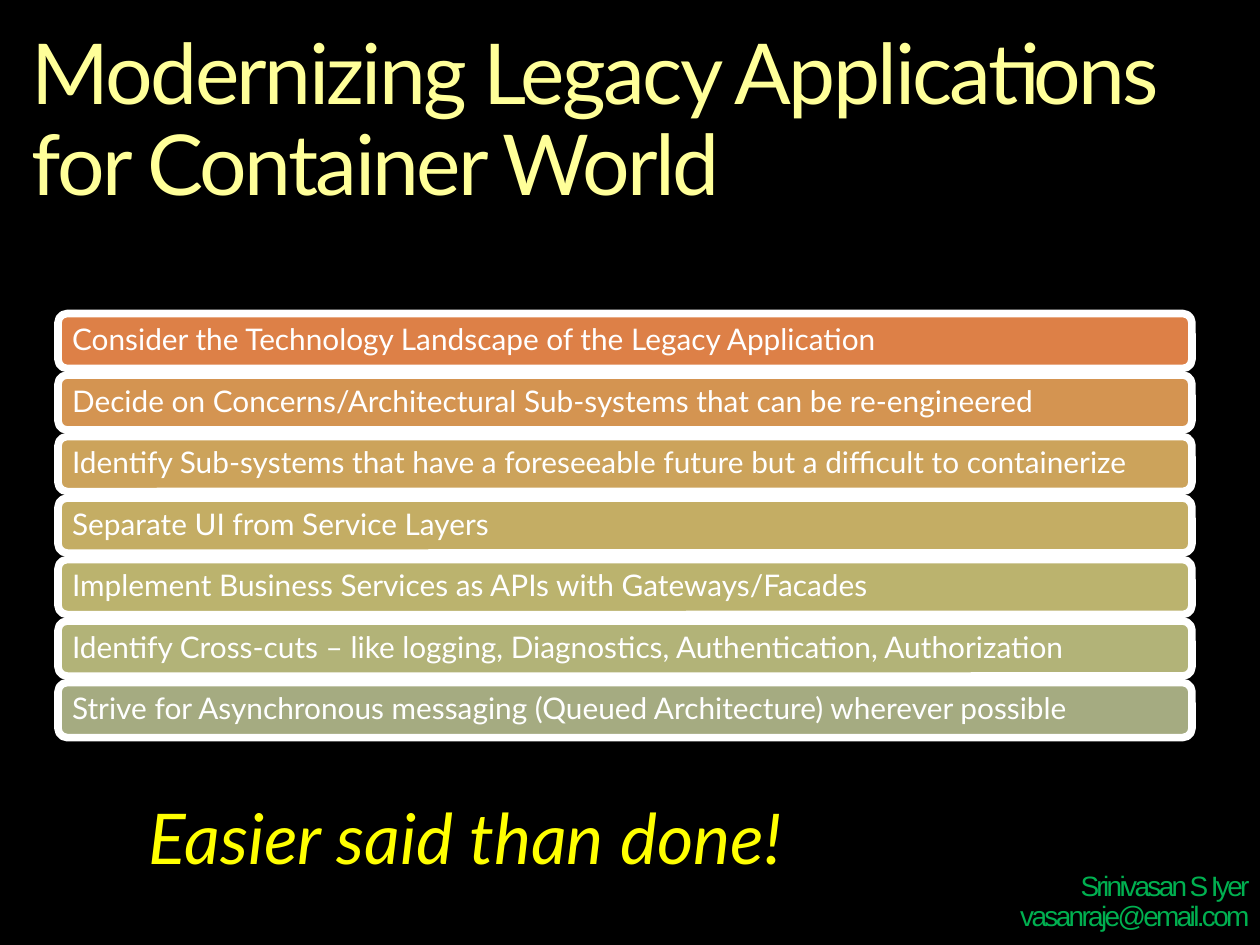
from dataclasses import dataclass

import pptx
import pptx.dml.color
import pptx.enum.shapes
import pptx.enum.text
import pptx.util
from pptx.util import Cm

ALIGN = pptx.enum.text.PP_ALIGN
ANCHOR = pptx.enum.text.MSO_ANCHOR


@dataclass(frozen=True)
class Theme:
    background: str = "000000"
    title: str = "FFFF99"
    white: str = "FFFFFF"
    remark: str = "FFFF00"
    author: str = "00B050"
    font: str = "Lato"
    author_font: str = "Arial"
    title_size: int = 48
    remark_size: int = 40
    step_size: int = 17
    author_size: int = 16


theme = Theme()


def rgb(value):
    return pptx.dml.color.RGBColor.from_string(value)


def write(sp, text, size, color, font=theme.font, inset=(0, 0), spacing=None,
          align=ALIGN.LEFT, anchor=ANCHOR.TOP, line_spacing=0.9, italic=None):
    """Fill a shape with text; inset is (horizontal, vertical) in cm, spacing in points."""
    tf = sp.text_frame
    tf.text = text
    tf.word_wrap = True
    tf.vertical_anchor = anchor
    tf.margin_left = tf.margin_right = Cm(inset[0])
    tf.margin_top = tf.margin_bottom = Cm(inset[1])
    for p in tf.paragraphs:
        p.alignment = align
        p.line_spacing = line_spacing
        for r in p.runs:
            r.font.name = font
            r.font.size = pptx.util.Pt(size)
            r.font.italic = italic
            r.font.color.rgb = rgb(color)
            if spacing is not None:
                r.font._element.set("spc", str(int(spacing * 100)))


prs = pptx.Presentation()
prs.slide_width, prs.slide_height = Cm(25.4), Cm(19.05)
s = prs.slides.add_slide(prs.slide_layouts[6])
s.background.fill.solid()
s.background.fill.fore_color.rgb = rgb(theme.background)

# Author
sp = s.shapes.add_textbox(Cm(19.69), Cm(17.58), Cm(5.5), Cm(1.27))
write(sp, "Srinivasan S Iyer\nvasanraje@email.com", theme.author_size, theme.author,
      font=theme.author_font, spacing=-1.5, align=ALIGN.RIGHT)

# Title
sp = s.shapes.add_textbox(Cm(0.64), Cm(0.64), Cm(23.93), Cm(3.68))
write(sp, "Modernizing Legacy Applications for Container World",
      theme.title_size, theme.title, spacing=-1.5)

# Steps
steps = [
    ("Consider the Technology Landscape of the Legacy Application", "DD8047"),
    ("Decide on Concerns/Architectural Sub-systems that can be re-engineered", "D49451"),
    ("Identify Sub-systems that have a foreseeable future but a difficult to containerize", "CCA35B"),
    ("Separate UI from Service Layers", "C4AD64"),
    ("Implement Business Services as APIs with Gateways/Facades", "BBB36E"),
    ("Identify Cross-cuts – like logging, Diagnostics, Authentication, Authorization", "B2B378"),
    ("Strive for Asynchronous messaging (Queued Architecture) wherever possible", "A5AB81"),
]
step_top, step_pitch = 6.32, 1.24
for i, (text, fill) in enumerate(steps):
    sp = s.shapes.add_shape(pptx.enum.shapes.MSO_SHAPE.ROUNDED_RECTANGLE,
                            Cm(1.17), Cm(step_top + i * step_pitch), Cm(22.86), Cm(1.11))
    sp.shadow.inherit = False
    sp.fill.solid()
    sp.fill.fore_color.rgb = rgb(fill)
    sp.line.color.rgb = rgb(theme.white)
    sp.line.width = pptx.util.Pt(4.33)
    write(sp, text, theme.step_size, theme.white, inset=(0.23, 0.1), anchor=ANCHOR.MIDDLE)

# Closing remark
sp = s.shapes.add_textbox(Cm(2.74), Cm(15.88), Cm(16.71), Cm(1.96))
write(sp, "Easier said than done!", theme.remark_size, theme.remark,
      inset=(0.25, 0.13), line_spacing=1.0, italic=True)

prs.save("out.pptx")
